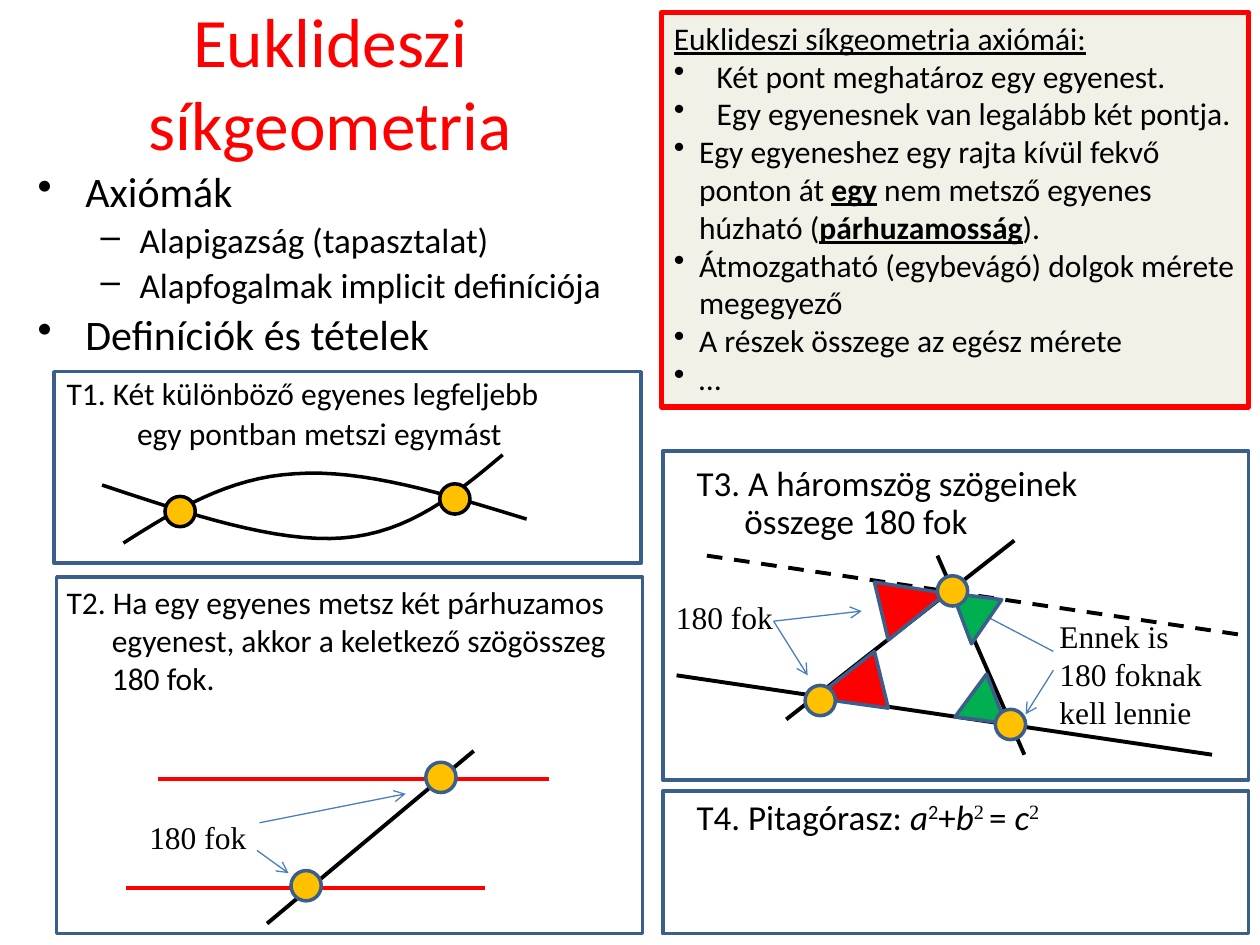
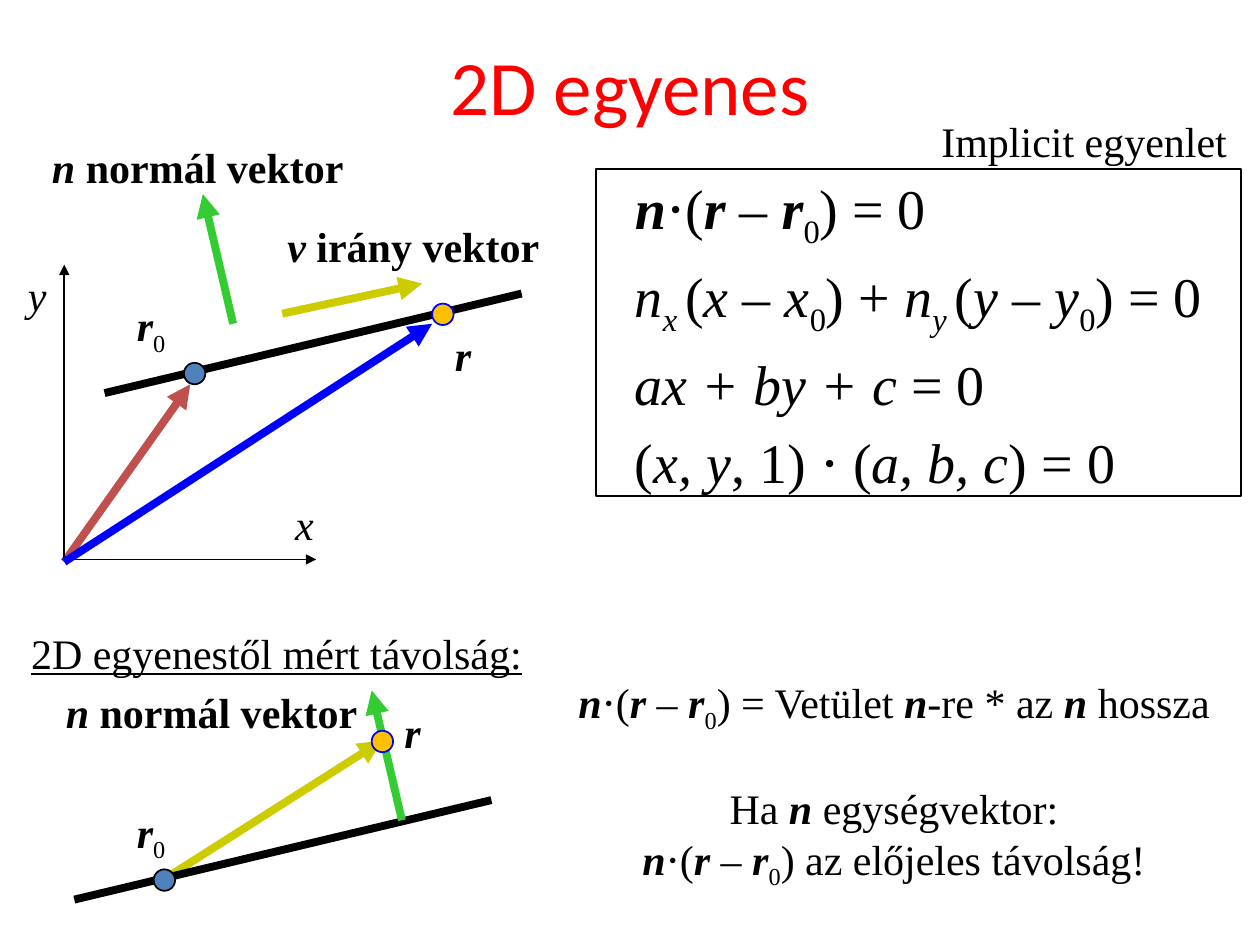
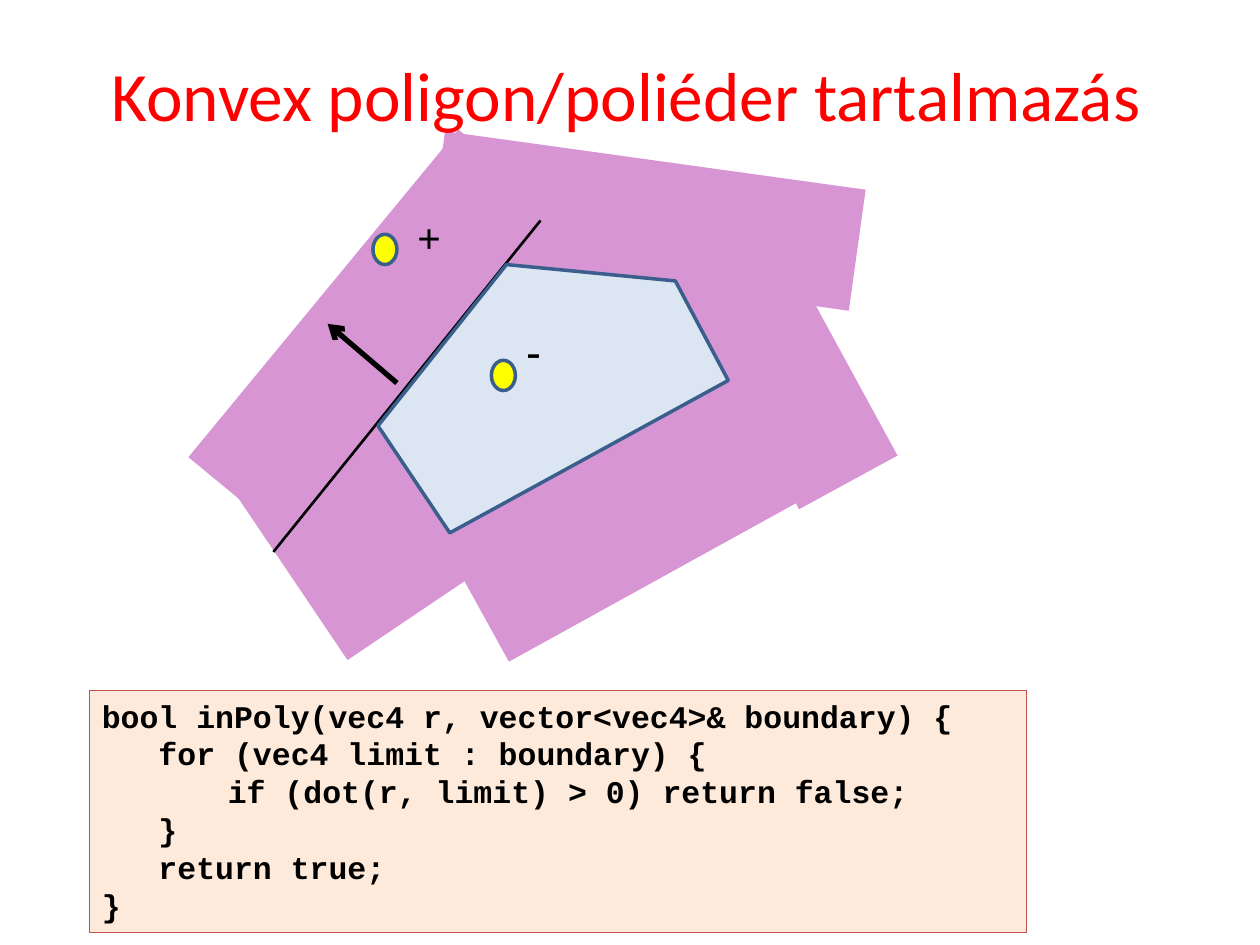
from dataclasses import dataclass
from typing import Any, NamedTuple

from lxml.etree import SubElement
from pptx import Presentation
from pptx.dml.color import RGBColor
from pptx.enum.dml import MSO_LINE
from pptx.enum.shapes import MSO_CONNECTOR, MSO_SHAPE
from pptx.enum.text import MSO_ANCHOR, MSO_AUTO_SIZE, PP_ALIGN
from pptx.oxml.ns import qn
from pptx.util import Inches, Pt

BLACK, RED, BLUE, GREEN = "000000", "FF0000", "0000FF", "33CC33"
OUTLINE, POINTER, AMBER, YELLOW = "3A5F8C", "4B7EBC", "FFC000", "FFFF00"
OLIVE, BRICK, STEEL, ORCHID = "CCCC00", "C0504D", "4F81BD", "D795D4"
SANS, SERIF, MONO = "Calibri", "Times New Roman", "Courier New"
CENTER, LEFT = PP_ALIGN.CENTER, PP_ALIGN.LEFT
MARKS = {"b": "bold", "i": "italic", "u": "underline"}
BASELINES = {"^": "30000", "_": "-25000"}

Point = tuple[float, float]
Box = tuple[float, float, float, float]


class Run(NamedTuple):
    text: str
    marks: str = ""
    font: str | None = None


class Stroke(NamedTuple):
    color: str
    width: float
    arrow: str | None = None
    dashed: bool = False


class Segment(NamedTuple):
    start: Point
    end: Point
    stroke: Stroke


@dataclass
class Para:
    runs: str | list[Run]
    size: float | None = None
    margin: float = 0
    hang: float = 0
    before: float = 0
    bullet: str | None = None


@dataclass
class Block:
    box: Box
    paras: list[Para]
    font: str = SERIF
    size: float = 24
    align: Any = CENTER
    wrap: bool = False
    spacing: float = 1.0


OUTLINED = Stroke(OUTLINE, 2)
POINTING = Stroke(POINTER, 0.75, "arrow")
LINE = Stroke(BLACK, 2.25)
PARALLEL = Stroke(RED, 2.25)
CURVE = Stroke(BLACK, 2)
AXIS = Stroke(BLACK, 1, "triangle")
HAIR = Stroke(BLACK, 1)
THICK = Stroke(BLACK, 4.5)


def rgb(color: str) -> RGBColor:
    return RGBColor.from_string(color)


def assign(target: Any, values: dict[str, Any]) -> None:
    for name, value in values.items():
        setattr(target, name, value)


def paint(shape: Any, fill: str | None, stroke: Stroke | None) -> None:
    shape.shadow.inherit = False
    if fill:
        shape.fill.solid()
        shape.fill.fore_color.rgb = rgb(fill)
    else:
        shape.fill.background()
    if stroke:
        shape.line.color.rgb = rgb(stroke.color)
        shape.line.width = Pt(stroke.width)
    else:
        shape.line.fill.background()


def write(frame: Any, block: Block) -> None:
    assign(frame, {"word_wrap": block.wrap, "auto_size": MSO_AUTO_SIZE.NONE,
                   "vertical_anchor": MSO_ANCHOR.TOP})
    for number, para in enumerate(block.paras):
        line = frame.add_paragraph() if number else frame.paragraphs[0]
        assign(line, {"alignment": block.align, "line_spacing": block.spacing,
                      "space_before": Pt(para.before)})
        props = line._p.get_or_add_pPr()
        props.set("marL", str(Inches(para.margin)))
        props.set("indent", str(-Inches(para.hang)))
        if para.bullet:
            SubElement(props, qn("a:buChar")).set("char", para.bullet)
        runs = [Run(para.runs)] if isinstance(para.runs, str) else para.runs
        for part in runs:
            run = line.add_run()
            run.text = part.text
            assign(run.font, {"name": part.font or block.font,
                              "size": Pt(para.size or block.size)})
            assign(run.font, {MARKS[m]: True for m in part.marks if m in MARKS})
            run.font.color.rgb = rgb(BLACK)
            for mark in part.marks:
                if mark in BASELINES:
                    run._r.get_or_add_rPr().set("baseline", BASELINES[mark])


def add_text(slide: Any, block: Block) -> None:
    write(slide.shapes.add_textbox(*map(Inches, block.box)).text_frame, block)


def add_label(slide: Any, box: Box, *runs: Run, size: float = 24) -> None:
    add_text(slide, Block(box, [Para(list(runs))], size=size))


def add_box(slide: Any, box: Box, fill: str | None = None,
            stroke: Stroke | None = None, rotation: float = 0) -> Any:
    rect = slide.shapes.add_shape(MSO_SHAPE.RECTANGLE, *map(Inches, box))
    paint(rect, fill, stroke)
    rect.rotation = rotation
    return rect


def add_panel(slide: Any, block: Block, fill: str, stroke: Stroke) -> None:
    write(add_box(slide, block.box, fill, stroke).text_frame, block)


def add_dot(slide: Any, at: Point, fill: str, stroke: Stroke,
            width: float = 0.24, height: float = 0.24) -> None:
    dot = slide.shapes.add_shape(MSO_SHAPE.OVAL, *map(Inches, (*at, width, height)))
    paint(dot, fill, stroke)


def add_segment(slide: Any, segment: Segment) -> None:
    stroke = segment.stroke
    line = slide.shapes.add_connector(
        MSO_CONNECTOR.STRAIGHT, *map(Inches, (*segment.start, *segment.end)))
    line.line.color.rgb = rgb(stroke.color)
    line.line.width = Pt(stroke.width)
    if stroke.dashed:
        line.line.dash_style = MSO_LINE.DASH
    props = line.element.spPr
    if stroke.arrow:
        SubElement(props.get_or_add_ln(), qn("a:tailEnd")).set("type", stroke.arrow)
    SubElement(props, qn("a:effectLst"))


def add_outline(slide: Any, points: list[Point], fill: str | None,
                stroke: Stroke, close: bool = True) -> None:
    corners = [(Inches(x), Inches(y)) for x, y in points]
    builder = slide.shapes.build_freeform(*corners[0], scale=1.0)
    builder.add_line_segments(corners[1:], close=close)
    paint(builder.convert_to_shape(), fill, stroke)


def bezier(a: Point, b: Point, c: Point, d: Point, steps: int = 16) -> list[Point]:
    def blend(t: float, axis: int) -> float:
        u = 1 - t
        return (u**3 * a[axis] + 3 * u * u * t * b[axis]
                + 3 * u * t * t * c[axis] + t**3 * d[axis])
    return [(blend(k / steps, 0), blend(k / steps, 1)) for k in range(steps + 1)]


def set_title(slide: Any, text: str, box: Box, size: float) -> None:
    title = slide.shapes.title
    assign(title, dict(zip(("left", "top", "width", "height"), map(Inches, box))))
    frame = title.text_frame
    frame.text = text
    assign(frame, {"word_wrap": True, "auto_size": MSO_AUTO_SIZE.NONE,
                   "vertical_anchor": MSO_ANCHOR.MIDDLE})
    heading = frame.paragraphs[0]
    heading.alignment = CENTER
    assign(heading.runs[0].font, {"name": SANS, "size": Pt(size)})
    heading.runs[0].font.color.rgb = rgb(RED)
    title.element.getparent().append(title.element)


def axiom(*runs: Run, margin: float = 0.2) -> Para:
    return Para(list(runs), margin=margin, hang=margin, bullet="•")


def topic(text: str, before: float = 4.8) -> Para:
    return Para(text, 24, 0.38, 0.38, before, "•")


def subtopic(text: str) -> Para:
    return Para(text, 20, 0.81, 0.31, 4, "–")


def euclidean_geometry(slide: Any) -> None:
    set_title(slide, "Euklideszi síkgeometria", (-0.01, 0.02, 5.26, 1.25), 39.6)
    add_text(slide, Block((0.2, 1.31, 4.9, 1.6), [
        topic("Axiómák", 0),
        subtopic("Alapigazság (tapasztalat)"),
        subtopic("Alapfogalmak implicit definíciója"),
        topic("Definíciók és tételek"),
    ], SANS, align=LEFT, wrap=True, spacing=0.9))
    add_panel(slide, Block((5.25, 0.1, 4.66, 3.13), [
        Para([Run("Euklideszi síkgeometria axiómái:", "u")]),
        axiom(Run("Két pont meghatároz egy egyenest."), margin=0.34),
        axiom(Run("Egy egyenesnek van legalább két pontja."), margin=0.34),
        axiom(Run("Egy egyeneshez egy rajta kívül fekvő ponton át "), Run("egy", "bu"),
              Run(" nem metsző egyenes húzható ("), Run("párhuzamosság", "bu"),
              Run(").")),
        axiom(Run("Átmozgatható (egybevágó) dolgok mérete megegyező")),
        axiom(Run("A részek összege az egész mérete")),
        axiom(Run("…")),
    ], SANS, 18, LEFT, True), "F2F1E8", Stroke(RED, 3))

    for theorem in ((0.43, 2.95, 4.66, 1.52), (0.45, 4.58, 4.65, 2.83),
                    (5.26, 3.58, 4.65, 2.61), (5.26, 6.28, 4.65, 1.13)):
        add_box(slide, theorem, stroke=OUTLINED)
    add_text(slide, Block((0.43, 2.95, 4.66, 0.7), [
        Para("T1. Két különböző egyenes legfeljebb"),
        Para("egy pontban metszi egymást", margin=0.56, before=3.6),
    ], SANS, 18, LEFT, True, 0.9))
    add_text(slide, Block((0.43, 4.58, 4.66, 1), [
        Para("T2. Ha egy egyenes metsz két párhuzamos egyenest, "
             "akkor a keletkező szögösszeg 180 fok.", margin=0.36, hang=0.36),
    ], SANS, 18, LEFT, True))
    add_text(slide, Block((5.43, 3.65, 3.23, 0.71), [
        Para("T3. A háromszög szögeinek"),
        Para("összege 180 fok", margin=0.38),
    ], SANS, 20, LEFT, True, 0.9))
    add_text(slide, Block((5.43, 6.3, 3.23, 0.4), [Para([
        Run("T4. Pitagórasz: "), Run("a", "i"), Run("2", "^"), Run("+"),
        Run("b", "i"), Run("2 ", "^", SERIF), Run("= "), Run("c", "i"),
        Run("2", "^", SERIF)])], SANS, 20, LEFT, True, 0.9))

    arches = [
        bezier((0.98, 4.31), (1.39, 4.05), (1.81, 3.79), (2.34, 3.76))
        + bezier((2.34, 3.76), (2.88, 3.72), (3.53, 3.92), (4.18, 4.12))[1:],
        bezier((0.81, 3.85), (1.5, 4.08), (2.19, 4.31), (2.72, 4.27))
        + bezier((2.72, 4.27), (3.25, 4.23), (3.62, 3.92), (3.99, 3.61))[1:],
    ]
    for arch in arches:
        add_outline(slide, arch, None, CURVE, close=False)
    for crossing in ((1.31, 3.94), (3.49, 3.84)):
        add_dot(slide, crossing, AMBER, CURVE)

    for segment in (
        Segment((1.25, 6.18), (4.36, 6.18), PARALLEL),
        Segment((1, 7.05), (3.85, 7.05), PARALLEL),
        Segment((2.12, 7.33), (3.76, 5.96), LINE),
        Segment((2.06, 6.53), (3.22, 6.3), POINTING),
        Segment((2.04, 6.75), (2.29, 6.93), POINTING),
        Segment((5.37, 5.36), (9.62, 5.99), LINE),
        Segment((6.24, 5.71), (8.05, 4.29), LINE),
        Segment((7.44, 4.41), (8.13, 5.99), LINE),
        Segment((5.61, 4.41), (9.86, 5.04), Stroke(BLACK, 2.25, dashed=True)),
        Segment((6.14, 4.93), (6.84, 4.85), POINTING),
        Segment((6.14, 4.93), (6.41, 5.36), POINTING),
        Segment((8.36, 5.17), (7.69, 4.82), POINTING),
        Segment((8.36, 5.32), (8.14, 5.67), POINTING),
    ):
        add_segment(slide, segment)
    for angle, color in (
        ([(6.47, 5.54), (6.94, 5.17), (7.05, 5.62)], RED),
        ([(7.51, 4.71), (7.05, 5.08), (6.94, 4.62)], RED),
        ([(7.58, 5.69), (7.83, 5.35), (7.98, 5.74)], "00B050"),
        ([(7.95, 4.76), (7.71, 5.11), (7.56, 4.71)], "00B050"),
    ):
        add_outline(slide, angle, color, OUTLINED)
    for vertex in ((2.31, 6.91), (3.38, 6.05), (6.39, 5.44), (7.9, 5.63), (7.44, 4.57)):
        add_dot(slide, vertex, AMBER, OUTLINED)
    for left, top in ((1.08, 6.44), (5.26, 4.7)):
        add_label(slide, (left, top, 0.98, 0.4), Run("180 fok"), size=18)
    add_text(slide, Block((8.31, 4.85, 1.49, 1.01), [
        Para(text) for text in ("Ennek is", "180 foknak", "kell lennie")
    ], size=18, align=LEFT, wrap=True))


def line_in_plane(slide: Any) -> None:
    offset = [Run("n", "bi"), Run("⋅("), Run("r", "bi"), Run(" – "),
              Run("r", "bi"), Run("0", "_")]
    set_title(slide, "2D egyenes", (0.75, 0.05, 8.5, 1.25), 44)
    for segment in (
        Segment((0.51, 4.46), (1.51, 3.05), Stroke(BRICK, 4.5, "triangle")),
        Segment((1.3, 6.98), (3.03, 5.88), Stroke(OLIVE, 4.5, "triangle")),
        Segment((0.83, 3.12), (4.14, 2.33), THICK),
        Segment((0.51, 4.44), (0.51, 2.1), AXIS),
        Segment((0.51, 4.44), (2.51, 4.44), AXIS),
        Segment((0.51, 4.46), (3.43, 2.57), Stroke(BLUE, 4.5, "triangle")),
        Segment((2.24, 2.49), (3.35, 2.25), Stroke(OLIVE, 4.5, "triangle")),
        Segment((1.85, 2.57), (1.61, 1.54), Stroke(GREEN, 4.5, "triangle")),
        Segment((0.59, 7.14), (3.9, 6.35), THICK),
        Segment((3.19, 6.51), (2.95, 5.48), Stroke(GREEN, 4.5, "triangle")),
    ):
        add_segment(slide, segment)
    for base in ((1.46, 2.88), (1.22, 6.9)):
        add_dot(slide, base, STEEL, HAIR, 0.17, 0.17)
    for tested in ((3.43, 2.41), (2.95, 5.8)):
        add_dot(slide, tested, AMBER, Stroke(BLUE, 1), 0.17, 0.17)

    add_box(slide, (4.73, 1.34, 5.12, 2.6), stroke=HAIR)
    equations = [
        offset + [Run(") = 0")],
        [Run("n", "i"), Run("x ", "i_"), Run("("), Run("x", "i"), Run(" – "),
         Run("x", "i"), Run("0", "_"), Run(") + "), Run("n", "i"), Run("y ", "i_"),
         Run("("), Run("y", "i"), Run(" – "), Run("y", "i"), Run("0", "_"),
         Run(") = 0")],
        [Run("ax + by + c", "i"), Run(" = 0")],
        [Run("("), Run("x, y", "i"), Run(", 1) ⋅ ("), Run("a, b, c", "i"),
         Run(") = 0")],
    ]
    add_text(slide, Block((3.94, 1.33, 5.85, 2.58), [
        Para(runs, margin=1, before=6.4 if number else 0)
        for number, runs in enumerate(equations)
    ], size=32, align=LEFT, wrap=True))

    add_label(slide, (7.36, 0.87, 2.49, 0.51), Run("Implicit egyenlet"))
    add_label(slide, (0.13, 4.93, 4.13, 0.51), Run("2D egyenestől mért távolság:", "u"))
    add_label(slide, (2.17, 1.7, 2.22, 0.51), Run("v ", "bi"), Run("irány vektor", "b"))
    for left, top in ((0.3, 1.07), (0.41, 5.4)):
        add_label(slide, (left, top, 2.54, 0.51), Run("n ", "bi"),
                  Run("normál vektor", "b"))
    for left, top in ((0.98, 2.33), (0.98, 6.35)):
        add_label(slide, (left, top, 0.44, 0.5), Run("r", "bi"), Run("0", "_"))
    for left, top in ((3.51, 2.57), (3.11, 5.56)):
        add_label(slide, (left, top, 0.33, 0.5), Run("r", "bi"))
    for axis, left, top in (("y", 0.12, 2.09), ("x", 2.24, 3.91)):
        add_label(slide, (left, top, 0.35, 0.5), Run(axis, "i"))
    add_text(slide, Block((4.45, 5.32, 5.29, 1.72), [
        Para(offset + [Run(") = Vetület "), Run("n", "bi"), Run("-re * az "),
                       Run("n ", "bi"), Run("hossza")]),
        Para([Run("Ha "), Run("n ", "bi"), Run("egységvektor:")], before=28),
        Para(offset + [Run(") az előjeles távolság!")]),
    ]))


def convex_containment(slide: Any) -> None:
    for band, rotation in (
        ((3.59, 3.51, 2.9, 1.11), 151.1),
        ((1.67, 3.43, 2.05, 1.23), 236),
        ((4.84, 2.26, 2.56, 0.89), 61.4),
        ((3.45, 1.27, 3.37, 0.97), 7.9),
        ((1.26, 2.15, 3.37, 0.98), 309.5),
    ):
        add_box(slide, band, ORCHID, rotation=rotation)
    set_title(slide, "Konvex poligon/poliéder tartalmazás", (0.47, 0.12, 9, 1.25), 39.6)
    add_segment(slide, Segment((4.29, 1.75), (2.17, 4.38), Stroke(BLACK, 1.5)))
    polygon = [(3, 3.38), (4.02, 2.1), (5.36, 2.23), (5.78, 3.02), (3.57, 4.23)]
    add_outline(slide, polygon, "DCE6F2", OUTLINED)
    add_segment(slide, Segment((3.15, 3.04), (2.6, 2.57), Stroke(BLACK, 3, "arrow")))
    for sample in ((2.96, 1.86), (3.9, 2.86)):
        add_dot(slide, sample, YELLOW, OUTLINED, 0.19)
    for sign, box in (("+", (3.21, 1.63, 0.39, 0.5)), ("-", (4.08, 2.53, 0.31, 0.5))):
        add_label(slide, box, Run(sign, "b"))
    code = (
        (0, "bool inPoly(vec4 r, vector<vec4>& boundary) {"),
        (0.45, "for (vec4 limit : boundary) {"),
        (1, "if (dot(r, limit) > 0) return false;"),
        (0.45, "}"),
        (0.45, "return true;"),
        (0, "}"),
    )
    add_panel(slide, Block((0.71, 5.48, 7.44, 1.92), [
        Para([Run(text, "b")], margin=margin) for margin, text in code
    ], MONO, 18, LEFT, True), "FDEADA", Stroke(BRICK, 0.75))


def main() -> None:
    deck = Presentation()
    assign(deck, {"slide_width": Inches(10), "slide_height": Inches(7.5)})
    title_only = deck.slide_layouts.get_by_name("Title Only")
    for build in (euclidean_geometry, line_in_plane, convex_containment):
        build(deck.slides.add_slide(title_only))
    deck.save("out.pptx")


if __name__ == "__main__":
    main()
